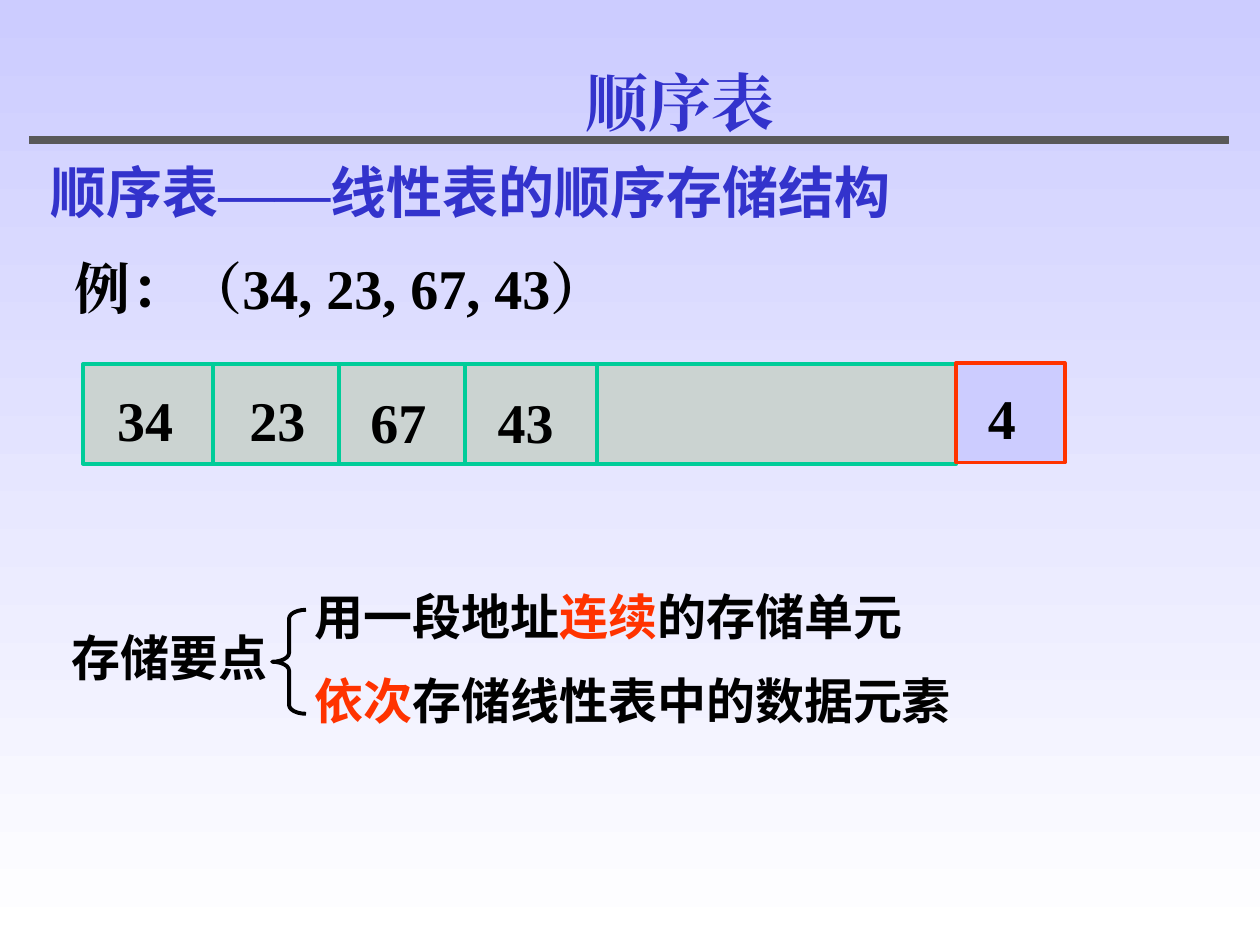
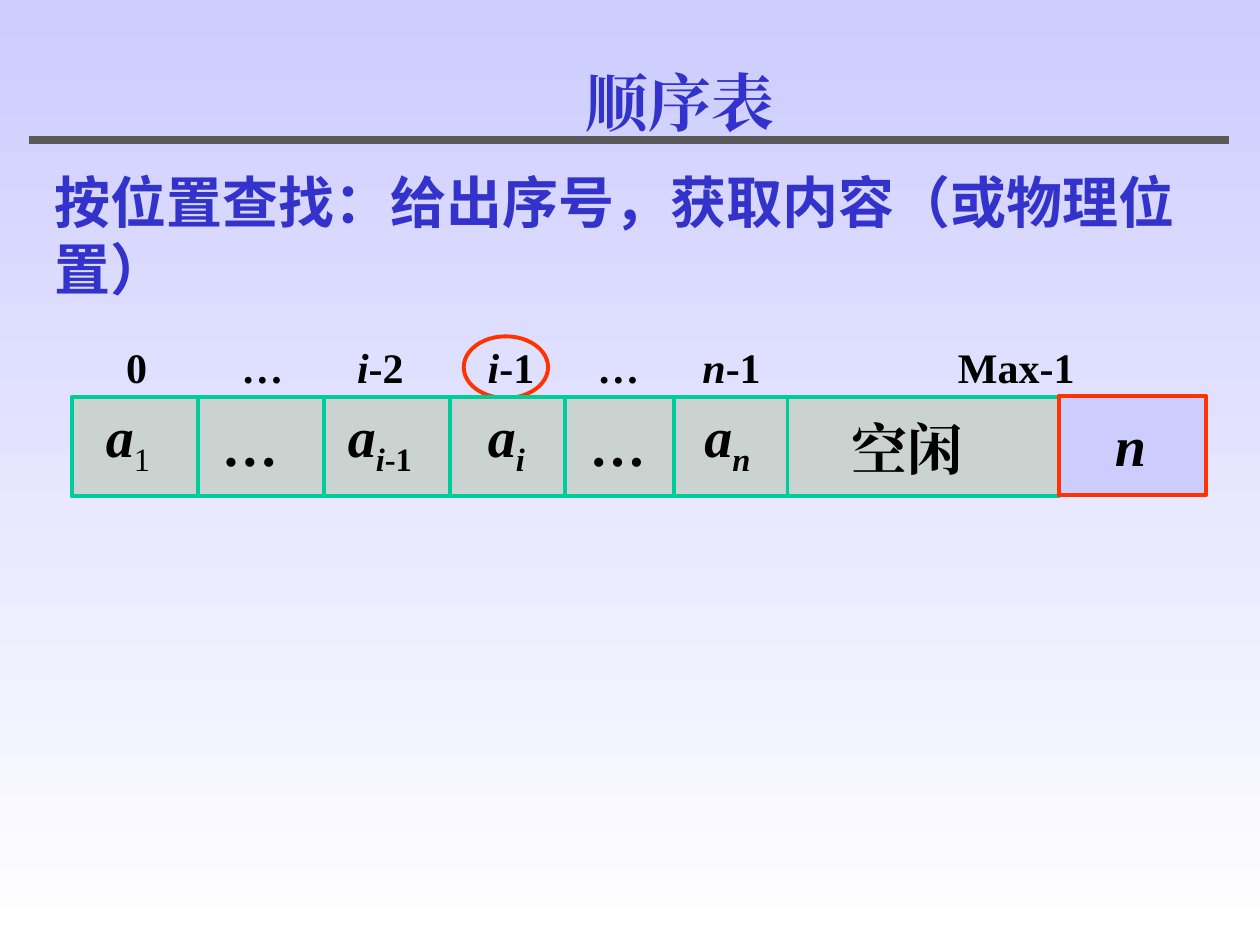
import pptx
import pptx.util
import pptx.dml.color
import pptx.enum.shapes
import pptx.enum.text
import pptx.oxml

Pt = pptx.util.Pt
RGBColor = pptx.dml.color.RGBColor
SHAPE = pptx.enum.shapes.MSO_SHAPE
ANCHOR = pptx.enum.text.MSO_ANCHOR
ALIGN = pptx.enum.text.PP_ALIGN

BLUE = RGBColor(0x33, 0x33, 0xCC)
PALE = RGBColor(0xCC, 0xCC, 0xFF)
WHITE = RGBColor(0xFF, 0xFF, 0xFF)
BLACK = RGBColor(0, 0, 0)
RED = RGBColor(0xFF, 0x33, 0x00)
GREEN = RGBColor(0x00, 0xCC, 0x99)
GRAY = RGBColor(0xCB, 0xD3, 0xD1)
DARK = RGBColor(0x59, 0x59, 0x59)

SERIF = "Times New Roman"
SANS = "Arial"
HAN = "Noto Sans CJK SC"
LEADING = 1.2
EDGE = 2.25


def style(run, size, face, color, flags=""):
    """Format a run; flags are i italic, s subscript, p plain weight, r red."""
    font = run.font
    font.size = Pt(size)
    font.bold = "p" not in flags
    font.italic = "i" in flags
    font.color.rgb = RED if "r" in flags else color
    font.name = face
    props = run._r.get_or_add_rPr()
    if "s" in flags:
        props.set("baseline", "-25000")
    east = props.makeelement(pptx.oxml.ns.qn("a:ea"), {"typeface": face})
    props.append(east)


def fill_text(frame, lines, size, face=SERIF, color=BLACK, pads=(7.2, 3.6, 7.2, 3.6),
              anchor=ANCHOR.TOP, align=ALIGN.LEFT, wrap=True, gap=0):
    """Write lines of (text, flags[, face]) runs into a text frame."""
    frame.word_wrap = wrap
    frame.auto_size = pptx.enum.text.MSO_AUTO_SIZE.NONE
    frame.vertical_anchor = anchor
    (frame.margin_left, frame.margin_top,
     frame.margin_right, frame.margin_bottom) = map(Pt, pads)
    for row, line in enumerate(lines):
        para = frame.add_paragraph() if row else frame.paragraphs[0]
        para.alignment = align
        para.line_spacing = Pt(size * LEADING)
        para.space_before = Pt(gap if row else 0)
        for text, flags, *own in line:
            run = para.add_run()
            run.text = text
            style(run, size, own[0] if own else face, color, flags)


def add_text(slide, box, lines, size, **look):
    """Add a text box."""
    shape = slide.shapes.add_textbox(*map(Pt, box))
    fill_text(shape.text_frame, lines, size, **look)
    return shape


def add_form(slide, kind, box, fill, edge, width=EDGE):
    """Add a preset shape with a flat fill, or none, and an outline."""
    shape = slide.shapes.add_shape(kind, *map(Pt, box))
    shape.shadow.inherit = False
    if fill is None:
        shape.fill.background()
    else:
        shape.fill.solid()
        shape.fill.fore_color.rgb = fill
    shape.line.color.rgb = edge
    shape.line.width = Pt(width)
    return shape


def add_rule(slide, x, top, low):
    """Add an upright divider."""
    kind = pptx.enum.shapes.MSO_CONNECTOR.STRAIGHT
    rule = slide.shapes.add_connector(kind, Pt(x), Pt(top), Pt(x), Pt(low))
    rule.line.color.rgb = GREEN
    rule.line.width = Pt(EDGE)
    props = rule._element.spPr
    props.append(props.makeelement(pptx.oxml.ns.qn("a:effectLst"), {}))


def add_page(deck, title):
    """Add a title-only slide with its heading and band."""
    slide = deck.slides.add_slide(deck.slide_layouts[5])
    add_form(slide, SHAPE.RECTANGLE, (16.6, 77.8, 685.4, 4.3), DARK, DARK, 0.5)
    head = slide.shapes.title
    head.left, head.top, head.width, head.height = map(Pt, (94.3, 36, 588.2, 43.2))
    fill_text(head.text_frame, [[(title, "")]], 36, color=BLUE,
              pads=(7.2, 0, 7.2, 0), align=ALIGN.CENTER)
    return slide


def add_array(slide, box, cuts, cells, tail, span, pads):
    """Draw an array: cuts and cells are offsets in the box, tail its length field."""
    left, top, width, height = box
    add_form(slide, SHAPE.RECTANGLE, box, GRAY, GREEN)
    for cut in cuts:
        add_rule(slide, left + cut, top, top + height)
    for x, y, wide, pad, runs in cells:
        add_text(slide, (left + x, top + y, wide, 46), [runs], 32,
                 pads=(pad, 3.6, 0, 3.6))
    field = add_form(slide, SHAPE.RECTANGLE, (left + width, top - 0.7, span, height),
                     PALE, RED)
    fill_text(field.text_frame, [tail], 32, pads=pads)


def add_points(slide, box):
    """Draw the braced list of storage points."""
    left, top, width, height = box
    add_text(slide, (left, top + 23, 126, 41), [[("存储要点", "")]], 28,
             face=SANS, wrap=False)
    brace = add_form(slide, SHAPE.LEFT_BRACE, (left + 121.7, top + 16.6, 19.4, 59.4),
                     None, BLACK)
    brace.adjustments[0] = 0.26
    lines = [[("用一段地址", ""), ("连续", "r"), ("的存储单元", "")],
             [("依次", "r"), ("存储线性表中的数据元素", "")]]
    add_text(slide, (left + 139, top, width - 139, height), lines, 28,
             face=SANS, gap=14)


def add_index(slide, box):
    """Write the index labels above the array and ring the wanted one."""
    left, top, width, height = box
    runs = [("0\t…\t", ""), ("i", "i"), ("-2\t", ""), ("i", "i"),
            ("-1\t…\t", ""), ("n", "i"), ("-1\tMax-1", "")]
    label = add_text(slide, box, [runs], 24, pads=(25.2, 3.6, 7.2, 3.6))
    props = label.text_frame.paragraphs[0]._p.get_or_add_pPr()
    tabs = props.makeelement(pptx.oxml.ns.qn("a:tabLst"), {})
    for stop in (66, 132, 206.7, 269.4, 329.4, 475.4):
        tab = {"pos": str(Pt(stop)), "algn": "l"}
        tabs.append(tabs.makeelement(pptx.oxml.ns.qn("a:tab"), tab))
    props.append(tabs)
    add_form(slide, SHAPE.OVAL, (left + 218.2, top + 0.7, 48.2, 35.3), None, RED)


def add_store(deck):
    """Build the slide on sequential storage."""
    slide = add_page(deck, "顺序表")
    add_text(slide, (21.6, 86.4, 594, 46),
             [[("顺序表", ""), ("——", "", SERIF), ("线性表的顺序存储结构", "")]],
             32, face=HAN, color=BLUE)
    add_text(slide, (35.3, 141.1, 388.8, 46), [[("例：（34, 23, 67, 43）", "")]], 32)
    spots = [(19.4, 8.6), (95, 8.6), (164.2, 10), (236.9, 10)]
    cells = [(x, y, 38, 0, [(word, "")])
             for (x, y), word in zip(spots, ("34", "23", "67", "43"))]
    add_array(slide, (47.5, 208.1, 499, 56.9), (74.2, 146.2, 218.2, 293.8), cells,
              [("4", "")], 61.9, (18, 11.5, 7.2, 8.6))
    add_points(slide, (33.8, 331.9, 600.5, 89.3))


def add_find(deck):
    """Build the slide on lookup by position."""
    slide = add_page(deck, "顺序表")
    add_text(slide, (23.8, 86.4, 678.2, 95),
             [[("按位置查找：给出序号，获取内容（或物理位置）", "")]],
             32, face=SANS, color=BLUE, anchor=ANCHOR.MIDDLE)
    add_index(slide, (46.8, 191.5, 630, 36))
    dots = [("…", "")]
    cells = [(11.5, 4.3, 48.2, 8, [("a", "i"), ("1", "sp")]),
             (77.8, 4.3, 48.2, 8, dots),
             (149.8, 4.3, 59.8, 8, [("a", "i"), ("i", "is"), ("-1", "s")]),
             (221.8, 4.3, 48.2, 16, [("a", "i"), ("i", "is")]),
             (288, 4.3, 48.2, 8, dots),
             (353.5, 4.3, 48.2, 8, [("a", "i"), ("n", "is")]),
             (437.8, 6.5, 84.2, 8, [("空闲", "")])]
    add_array(slide, (41, 226.8, 564.1, 56.9), (72, 144, 216, 282, 344.2, 409), cells,
              [("n", "i")], 84.2, (32, 8.6, 0, 3.6))


def main():
    """Build and save the deck."""
    deck = pptx.Presentation()
    deck.slide_width, deck.slide_height = Pt(720), Pt(540)
    back = deck.slide_master.background.fill
    back.gradient()
    back.gradient_angle = 270
    for stop, color in zip(back.gradient_stops, (PALE, WHITE)):
        stop.color.rgb = color
    add_store(deck)
    add_find(deck)
    deck.save("out.pptx")


if __name__ == "__main__":
    main()
